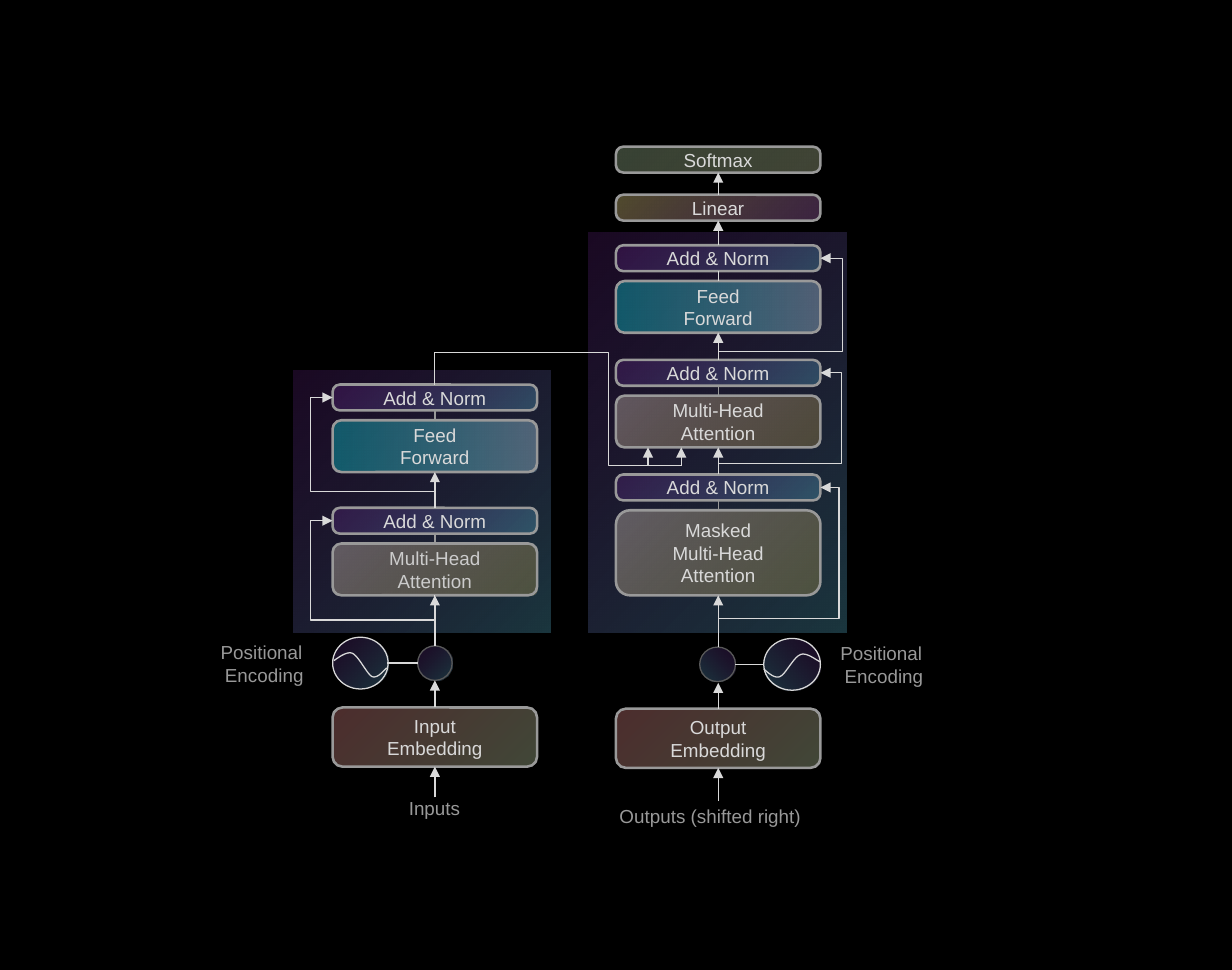
from pptx import Presentation
from pptx.dml.color import RGBColor
from pptx.enum.shapes import MSO_CONNECTOR, MSO_SHAPE
from pptx.enum.text import MSO_ANCHOR, PP_ALIGN
from pptx.oxml.ns import qn
from pptx.util import Inches, Pt
from lxml.etree import SubElement

COLORS = {"back": "000000", "light": "D9D9D9", "soft": "CCCCCC",
          "gray": "999999", "dark": "595959"}
GRADIENTS = {
    "night": (("69D4F4", 26), ("9F39D5", 17), 225),
    "attention": (("F7E9D4", 32), ("E6B94E", 25), 45),
    "embedding": (("D8EDBA", 29), ("FE9696", 29), 225),
    "forward": (("00FFFF", 31), ("B0DAF1", 37), 0),
    "linear": (("DE87F1", 27), ("F1DD87", 34), 225),
    "softmax": (("E0EDBA", 29), ("B6D7A8", 31), 225),
}
BLOCK_WIDTH, SLIM, NORM_RISE = 1.66, 0.21, 0.29
COLUMNS = {"encoder": 2.7, "decoder": 5.0}
PANELS = [(4.78, 1.89, 2.09, 3.24), (2.38, 3.01, 2.09, 2.12)]
BLOCKS = [
    ("input", "encoder", 5.74, 0.48, "embedding", ["Input", "Embedding"]),
    ("output", "decoder", 5.75, 0.48, "embedding", ["Output", "Embedding"]),
    ("linear", "decoder", 1.58, SLIM, "linear", ["Linear"]),
    ("softmax", "decoder", 1.19, SLIM, "softmax", ["Softmax"]),
]
SUBLAYERS = [
    ("self", "encoder", 4.41, 0.42, "attention", ["Multi-Head", "Attention"], "soft", "gray"),
    ("encode", "encoder", 3.41, 0.42, "forward", ["Feed", "Forward"], "light", "gray"),
    ("masked", "decoder", 4.14, 0.69, "attention",
     ["Masked", "Multi-Head", "Attention"], "light", "gray"),
    ("cross", "decoder", 3.21, 0.42, "attention", ["Multi-Head", "Attention"], "light", "gray"),
    ("decode", "decoder", 2.28, 0.42, "forward", ["Feed", "Forward"], "light", "light"),
]
CIRCLES = [
    (3.39, 5.24, 0.28, 0.28, "dark", False), (2.7, 5.17, 0.45, 0.42, "light", False),
    (5.68, 5.25, 0.29, 0.28, "dark", True), (6.2, 5.18, 0.46, 0.42, "light", True),
]
WAVES = [
    [(2.71, 5.36), (2.73, 5.35), (2.81, 5.28), (2.86, 5.3), (2.91, 5.32),
     (2.98, 5.47), (3.02, 5.49), (3.07, 5.51), (3.12, 5.43), (3.14, 5.42)],
    [(6.66, 5.37), (6.63, 5.36), (6.55, 5.29), (6.5, 5.31), (6.44, 5.33),
     (6.38, 5.47), (6.33, 5.49), (6.28, 5.51), (6.22, 5.44), (6.2, 5.43)],
]
RISES = [
    ("encoder", 6.47, "input"), ("encoder", "input", 5.52), ("encoder", 5.24, "self"),
    ("encoder", "self norm", "encode"), ("decoder", 6.5, "output"),
    ("decoder", "output", 5.54), ("decoder", 5.25, "masked"),
    ("decoder", "masked norm", "cross"), ("decoder", "cross norm", "decode"),
    ("decoder", "decode norm", "linear"), ("decoder", "linear", "softmax"),
]
RESIDUALS = [
    ("encoder", 4.83, 5.03, 2.52, "self norm"), ("encoder", 3.84, 3.99, 2.52, "encode norm"),
    ("decoder", 5.13, 5.02, 6.81, "masked norm"), ("decoder", 3.76, 3.76, 6.83, "cross norm"),
    ("decoder", 2.92, 2.85, 6.84, "decode norm"),
]
LABELS = [
    (3.22, 6.37, 0.73, PP_ALIGN.LEFT, ["Inputs"]),
    (4.93, 6.44, 1.79, PP_ALIGN.LEFT, ["Outputs (shifted right)"]),
    (6.28, 5.11, 1.79, PP_ALIGN.CENTER, ["Positional ", "Encoding"]),
    (1.25, 5.1, 1.79, PP_ALIGN.CENTER, ["Positional ", "Encoding"]),
]

deck = Presentation()
deck.slide_width, deck.slide_height = Inches(10), Inches(7.87)
page = deck.slides.add_slide(deck.slide_layouts[6])
page.background.fill.solid()
page.background.fill.fore_color.rgb = RGBColor.from_string(COLORS["back"])
blocks = {}


def write(shape, lines, color, align, anchor):
    frame = shape.text_frame
    frame.word_wrap = True
    frame.vertical_anchor = anchor
    frame.margin_left = frame.margin_right = Inches(0.1)
    frame.margin_top = frame.margin_bottom = Inches(0.1)
    for index, line in enumerate(lines):
        para = frame.paragraphs[0] if index == 0 else frame.add_paragraph()
        para.alignment = align
        span = para.add_run()
        span.text = line
        span.font.size, span.font.name = Pt(11), "Arial"
        span.font.color.rgb = RGBColor.from_string(COLORS[color])


def stroke(shape, color, width=0.75, arrow=False):
    shape.line.color.rgb = RGBColor.from_string(COLORS[color])
    shape.line.width = Pt(width)
    if arrow:
        SubElement(shape.line._get_or_add_ln(), qn("a:tailEnd"), type="triangle")


def add_filled(kind, left, top, width, height, style):
    shape = page.shapes.add_shape(kind, *map(Inches, (left, top, width, height)))
    shape.shadow.inherit = False
    *stops, angle = GRADIENTS[style]
    shape.fill.gradient()
    shape.fill.gradient_angle = -angle % 360
    for stop, (color, _) in zip(shape.fill.gradient_stops, stops):
        stop.color.rgb = RGBColor.from_string(color)
    for node, (_, opacity) in zip(shape._element.spPr.iter(qn("a:srgbClr")), stops):
        SubElement(node, qn("a:alpha"), val=str(opacity * 1000))
    return shape


def add_block(key, column, top, height, style, lines, color="light"):
    block = add_filled(MSO_SHAPE.ROUNDED_RECTANGLE, COLUMNS[column], top,
                       BLOCK_WIDTH, height, style)
    block.adjustments[0] = 0.285 if height == SLIM else 0.167
    stroke(block, "gray", 1.5)
    write(block, lines, color, PP_ALIGN.CENTER, MSO_ANCHOR.MIDDLE)
    blocks[key] = block


def add_line(start, end, color="light", arrow=False, kind=MSO_CONNECTOR.STRAIGHT):
    line = page.shapes.add_connector(kind, *map(Inches, (*start, *end)))
    stroke(line, color, arrow=arrow)
    SubElement(line._element.spPr, qn("a:effectLst"))
    return line


def add_rise(column, start, end, color="light", arrow=True):
    center = COLUMNS[column] + BLOCK_WIDTH / 2
    ends = [0 if point in blocks else point for point in (start, end)]
    line = add_line((center, ends[0]), (center, ends[1]), color, arrow)
    if start in blocks:
        line.begin_connect(blocks[start], 0)
    if end in blocks:
        line.end_connect(blocks[end], 2)


def add_elbow(start, end, lane_x, lane_y, arrow=True):
    (x1, y1), (x2, y2) = start, end
    across, down = (lane_x - x1) / (x2 - x1), (lane_y - y1) / (y2 - y1)
    if lane_y == y1:
        line = add_line(start, end, arrow=arrow, kind=MSO_CONNECTOR.ELBOW)
        bends = [across]
    else:
        middle_x, middle_y = (x1 + x2) / 2, (y1 + y2) / 2
        half_w, half_h = abs(y2 - y1) / 2, abs(x2 - x1) / 2
        line = add_line((middle_x - half_w, middle_y - half_h),
                        (middle_x + half_w, middle_y + half_h),
                        arrow=arrow, kind=MSO_CONNECTOR.ELBOW)
        frame = line._element.spPr.find(qn("a:xfrm"))
        frame.set("rot", str((90 if x2 < x1 else 270) * 60000))
        if (x2 < x1) == (y2 < y1):
            frame.set("flipH", "1")
        bends = [down, across]
    shape = line._element.spPr.find(qn("a:prstGeom"))
    shape.set("prst", f"bentConnector{len(bends) + 2}")
    guides = shape.find(qn("a:avLst"))
    for index, bend in enumerate(bends, 1):
        SubElement(guides, qn("a:gd"), name=f"adj{index}", fmla=f"val {round(bend * 100000)}")


def add_wave(points, steps=10):
    curve = []
    for first in range(0, len(points) - 1, 3):
        a, b, c, d = points[first:first + 4]
        for step in range(1, steps + 1):
            t = step / steps
            curve.append(tuple(
                Inches((1 - t) ** 3 * p + 3 * (1 - t) ** 2 * t * q + 3 * (1 - t) * t * t * r + t ** 3 * s)
                for p, q, r, s in zip(a, b, c, d)))
    builder = page.shapes.build_freeform(*map(Inches, points[0]))
    builder.add_line_segments(curve, close=False)
    wave = builder.convert_to_shape()
    wave.shadow.inherit = False
    wave.fill.background()
    stroke(wave, "light")


for panel in PANELS:
    add_filled(MSO_SHAPE.RECTANGLE, *panel, "night").line.fill.background()
for block in BLOCKS:
    add_block(*block)
for key, column, top, height, style, lines, color, stub in SUBLAYERS:
    add_block(key, column, top, height, style, lines, color)
    add_block(f"{key} norm", column, top - NORM_RISE, SLIM, "night", ["Add & Norm"])
    add_rise(column, key, f"{key} norm", stub, arrow=False)
for *place, color, mirrored in CIRCLES:
    circle = add_filled(MSO_SHAPE.OVAL, *place, "night")
    stroke(circle, color)
    if mirrored:
        circle._element.spPr.find(qn("a:xfrm")).set("flipH", "1")
for wave in WAVES:
    add_wave(wave)
for rise in RISES:
    add_rise(*rise)
for column, start_y, lane_y, lane_x, norm in RESIDUALS:
    left = COLUMNS[column]
    side = left if column == "encoder" else left + BLOCK_WIDTH
    end_y = (blocks[norm].top + blocks[norm].height / 2) / Inches(1)
    add_elbow((left + BLOCK_WIDTH / 2, start_y), (side, end_y), lane_x, lane_y)
add_line((3.14, 5.38), (3.39, 5.38))
add_line((6.2, 5.39), (5.97, 5.39))
add_elbow((3.53, 3.12), (5.53, 3.78), 4.94, 2.86, arrow=False)
for x in (5.26, 5.53):
    add_line((x, 3.78), (x, 3.63), arrow=True)
for left, top, width, align, lines in LABELS:
    label = page.shapes.add_textbox(*map(Inches, (left, top, width, 0.2)))
    write(label, lines, "gray", align, MSO_ANCHOR.TOP)

deck.save("out.pptx")
